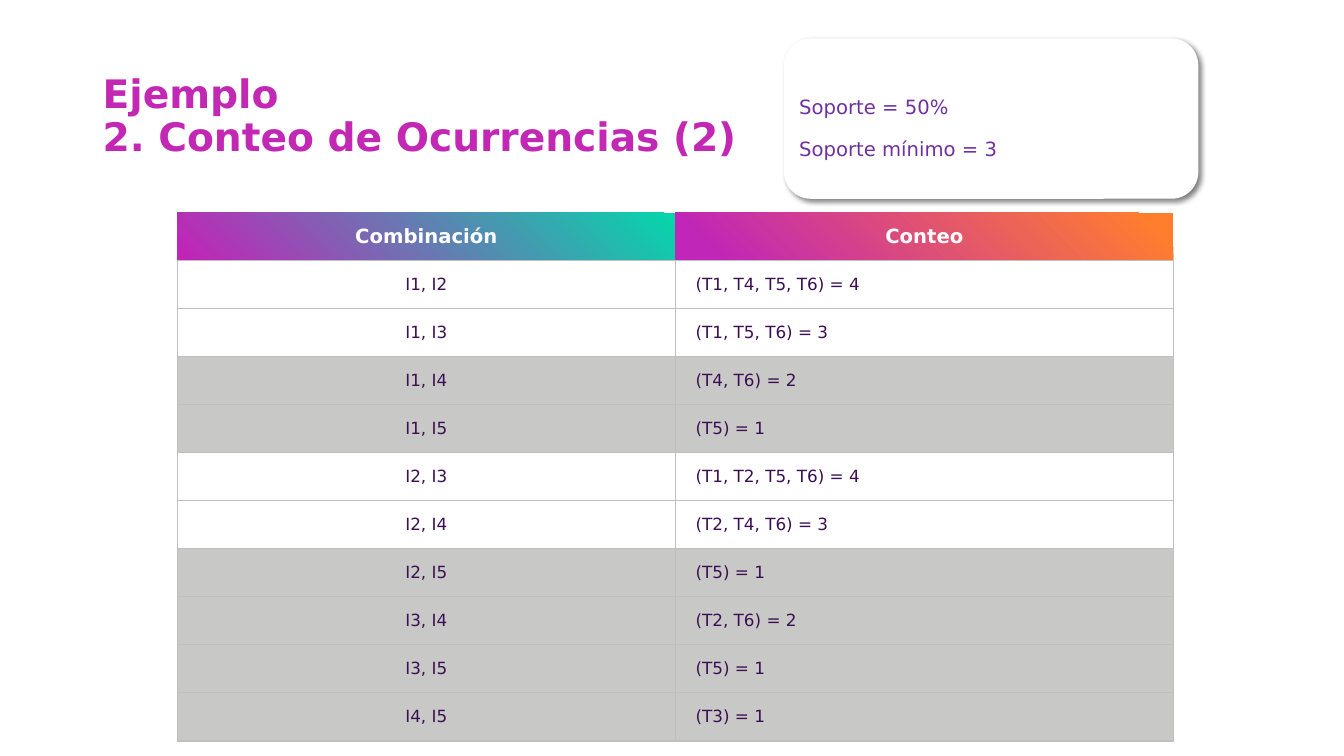
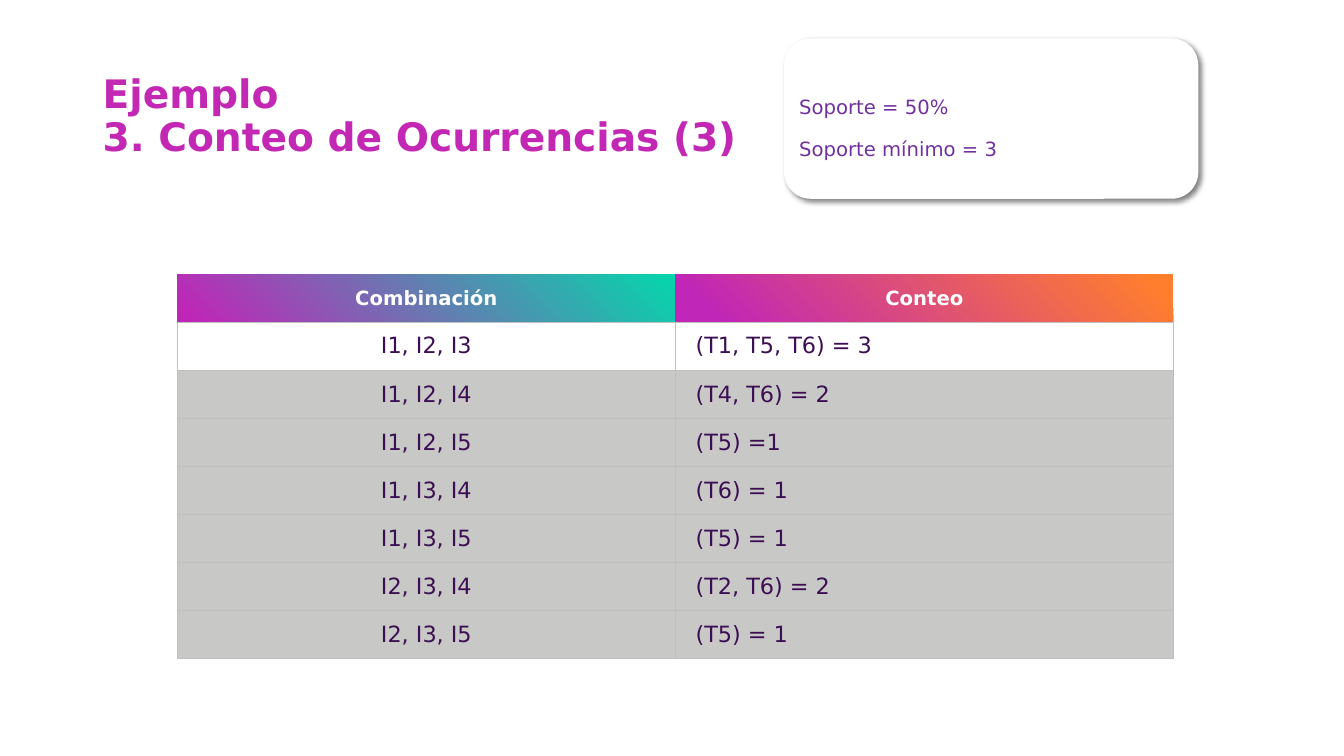
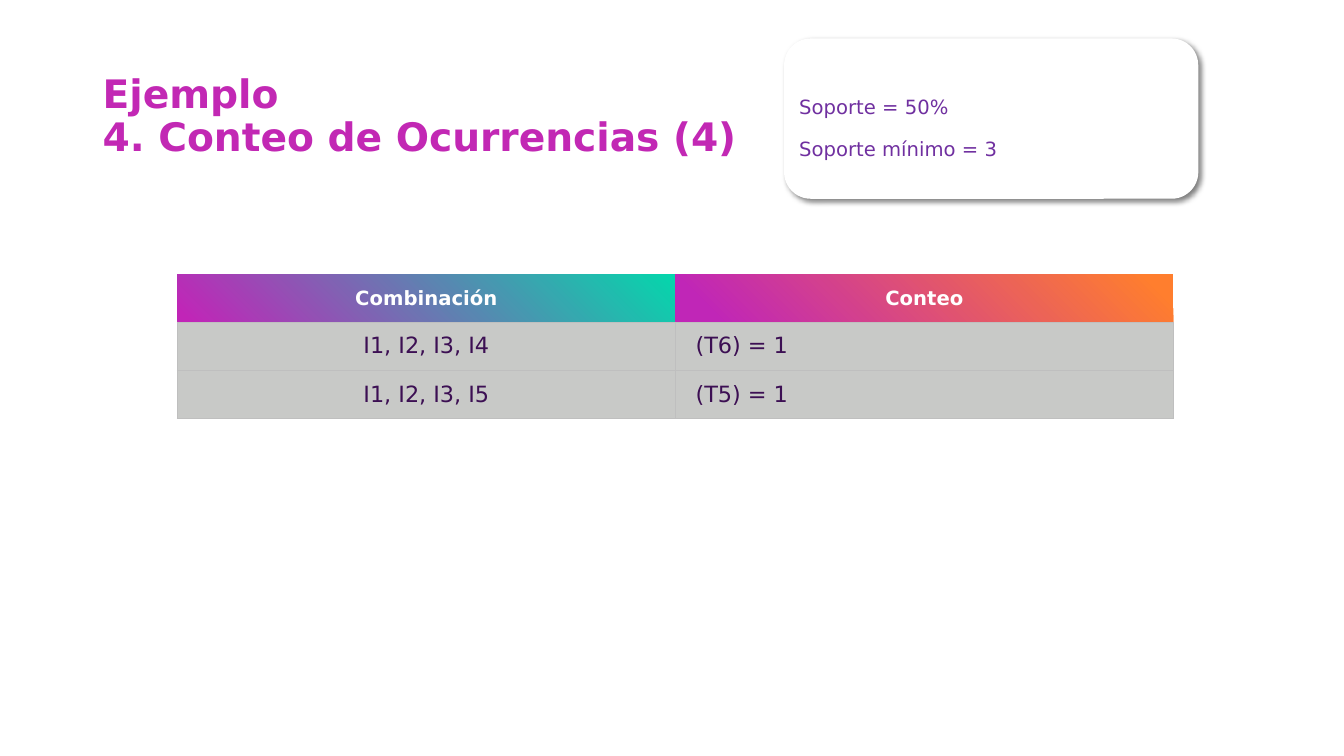
from dataclasses import dataclass

from lxml import etree
from pptx import Presentation
from pptx.dml.color import RGBColor
from pptx.enum import shapes, text
from pptx.oxml import ns
from pptx.util import Cm, Pt


@dataclass(frozen=True)
class Theme:
    font: str = "DejaVu Sans"
    title: str = "C228B4"
    support: str = "7030A0"
    body: str = "3C0F53"
    white: str = "FFFFFF"
    discarded: str = "C8C9C7"
    border: str = "BFBFBF"
    shadow: str = "000000"
    title_size: int = 28
    label_size: int = 14
    line_spacing: float = 0.9
    header_gradients: tuple = (
        ((0.01, "06D5AC"), (0.98, "C125B7")),
        ((0.05, "FF7E2E"), (0.92, "C026B7")),
    )


THEME = Theme()
HEADERS = ("Combinación", "Conteo")
MINIMUM_SUPPORT = 3
ROW_HEIGHT = Cm(1.21)
COLUMN_WIDTH = Cm(12.55)

SLIDES = (
    ("2. Conteo de Ocurrencias (2)", Cm(5.36), 12, (
        ("I1, I2", "(T1, T4, T5, T6) = 4"),
        ("I1, I3", "(T1, T5, T6) = 3"),
        ("I1, I4", "(T4, T6) = 2"),
        ("I1, I5", "(T5) = 1"),
        ("I2, I3", "(T1, T2, T5, T6) = 4"),
        ("I2, I4", "(T2, T4, T6) = 3"),
        ("I2, I5", "(T5) = 1"),
        ("I3, I4", "(T2, T6) = 2"),
        ("I3, I5", "(T5) = 1"),
        ("I4, I5", "(T3) = 1"),
    )),
    ("3. Conteo de Ocurrencias (3)", Cm(6.91), 16, (
        ("I1, I2, I3", "(T1, T5, T6) = 3"),
        ("I1, I2, I4", "(T4, T6) = 2"),
        ("I1, I2, I5", "(T5) =1"),
        ("I1, I3, I4", "(T6) = 1"),
        ("I1, I3, I5", "(T5) = 1"),
        ("I2, I3, I4", "(T2, T6) = 2"),
        ("I2, I3, I5", "(T5) = 1"),
    )),
    ("4. Conteo de Ocurrencias (4)", Cm(6.91), 16, (
        ("I1, I2, I3, I4", "(T6) = 1"),
        ("I1, I2, I3, I5", "(T5) = 1"),
    )),
)


def rgb(color):
    return RGBColor.from_string(color)


def add_run(paragraph, words, size, color, bold=False):
    run = paragraph.add_run()
    run.text = words
    run.font.name = THEME.font
    run.font.size = Pt(size)
    run.font.bold = bold
    run.font.color.rgb = rgb(color)


def add_title(slide, heading):
    box = slide.shapes.add_textbox(Cm(2.34), Cm(1.8), Cm(29.21), Cm(2.31))
    frame = box.text_frame
    frame.word_wrap = True
    frame.vertical_anchor = text.MSO_ANCHOR.MIDDLE
    paragraph = frame.paragraphs[0]
    paragraph.line_spacing = THEME.line_spacing
    add_run(paragraph, "Ejemplo", THEME.title_size, THEME.title, True)
    paragraph.add_line_break()
    add_run(paragraph, heading, THEME.title_size, THEME.title, True)


def add_drop_shadow(shape):
    shape.shadow.inherit = False
    effects = shape._element.spPr.find(ns.qn("a:effectLst"))
    shadow = etree.SubElement(
        effects, ns.qn("a:outerShdw"), blurRad=str(Pt(4)), dist=str(Pt(3)),
        dir="2700000", algn="tl", rotWithShape="0")
    color = etree.SubElement(shadow, ns.qn("a:srgbClr"), val=THEME.shadow)
    etree.SubElement(color, ns.qn("a:alpha"), val="50000")


def add_support_card(slide):
    card = slide.shapes.add_shape(
        shapes.MSO_SHAPE.ROUNDED_RECTANGLE, Cm(19.76), Cm(0.97), Cm(10.44), Cm(4.04))
    card.fill.solid()
    card.fill.fore_color.rgb = rgb(THEME.white)
    card.line.fill.background()
    add_drop_shadow(card)

    box = slide.shapes.add_textbox(Cm(20.14), Cm(2.34), Cm(9.63), Cm(1.88))
    frame = box.text_frame
    frame.word_wrap = True
    frame.margin_left = 0
    first = frame.paragraphs[0]
    second = frame.add_paragraph()
    second.space_before = Pt(15)
    lines = ("Soporte = 50%", f"Soporte mínimo = {MINIMUM_SUPPORT}")
    for paragraph, line in zip((first, second), lines):
        paragraph.line_spacing = THEME.line_spacing
        add_run(paragraph, line, THEME.label_size, THEME.support)


def set_borders(cell, visible):
    properties = cell._tc.get_or_add_tcPr()
    for side in "LRTB":
        line = etree.SubElement(properties, ns.qn(f"a:ln{side}"), w=str(Pt(1)))
        if side in visible:
            fill = etree.SubElement(line, ns.qn("a:solidFill"))
            etree.SubElement(fill, ns.qn("a:srgbClr"), val=THEME.border)
        else:
            etree.SubElement(line, ns.qn("a:noFill"))


def write_cell(cell, words, size, color, centred, bold=False):
    cell.vertical_anchor = text.MSO_ANCHOR.MIDDLE
    paragraph = cell.text_frame.paragraphs[0]
    paragraph.alignment = text.PP_ALIGN.CENTER if centred else text.PP_ALIGN.LEFT
    add_run(paragraph, words, size, color, bold)


def fill_header_cell(cell, words, gradient):
    set_borders(cell, "B")
    cell.fill.gradient()
    cell.fill.gradient_angle = 225
    for stop, (position, color) in zip(cell.fill.gradient_stops, gradient):
        stop.position = position
        stop.color.rgb = rgb(color)
    write_cell(cell, words, THEME.label_size, THEME.white, True, True)


def fill_body_cell(cell, words, size, color, centred):
    set_borders(cell, "LRTB")
    cell.fill.solid()
    cell.fill.fore_color.rgb = rgb(color)
    cell.margin_left = 0 if centred else Cm(0.51)
    cell.margin_right = cell.margin_top = cell.margin_bottom = 0
    write_cell(cell, words, size, THEME.body, centred)


def add_count_table(slide, top, size, counts):
    row_count = len(counts) + 1
    table = slide.shapes.add_table(
        row_count, len(HEADERS), Cm(4.47), top,
        COLUMN_WIDTH * len(HEADERS), ROW_HEIGHT * row_count).table
    table.horz_banding = False
    for column in table.columns:
        column.width = COLUMN_WIDTH
    for row in table.rows:
        row.height = ROW_HEIGHT
    for index, (header, gradient) in enumerate(zip(HEADERS, THEME.header_gradients)):
        fill_header_cell(table.cell(0, index), header, gradient)
    for index, (combination, count) in enumerate(counts, start=1):
        frequent = int(count.split("=")[1]) >= MINIMUM_SUPPORT
        color = THEME.white if frequent else THEME.discarded
        fill_body_cell(table.cell(index, 0), combination, size, color, True)
        fill_body_cell(table.cell(index, 1), count, size, color, False)


def main():
    presentation = Presentation()
    presentation.slide_width = Cm(33.87)
    presentation.slide_height = Cm(19.05)
    for heading, table_top, size, counts in SLIDES:
        slide = presentation.slides.add_slide(presentation.slide_layouts[6])
        add_title(slide, heading)
        add_support_card(slide)
        add_count_table(slide, table_top, size, counts)
    presentation.save("out.pptx")


if __name__ == "__main__":
    main()
